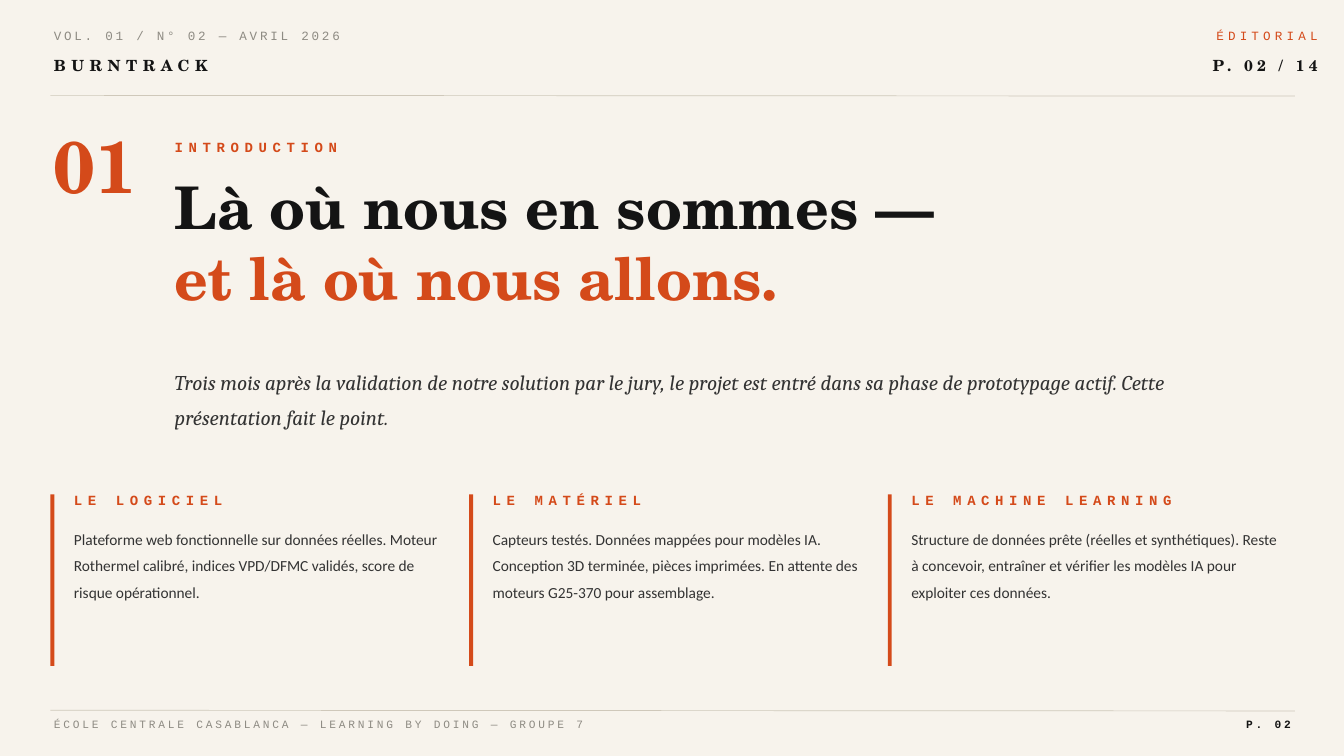
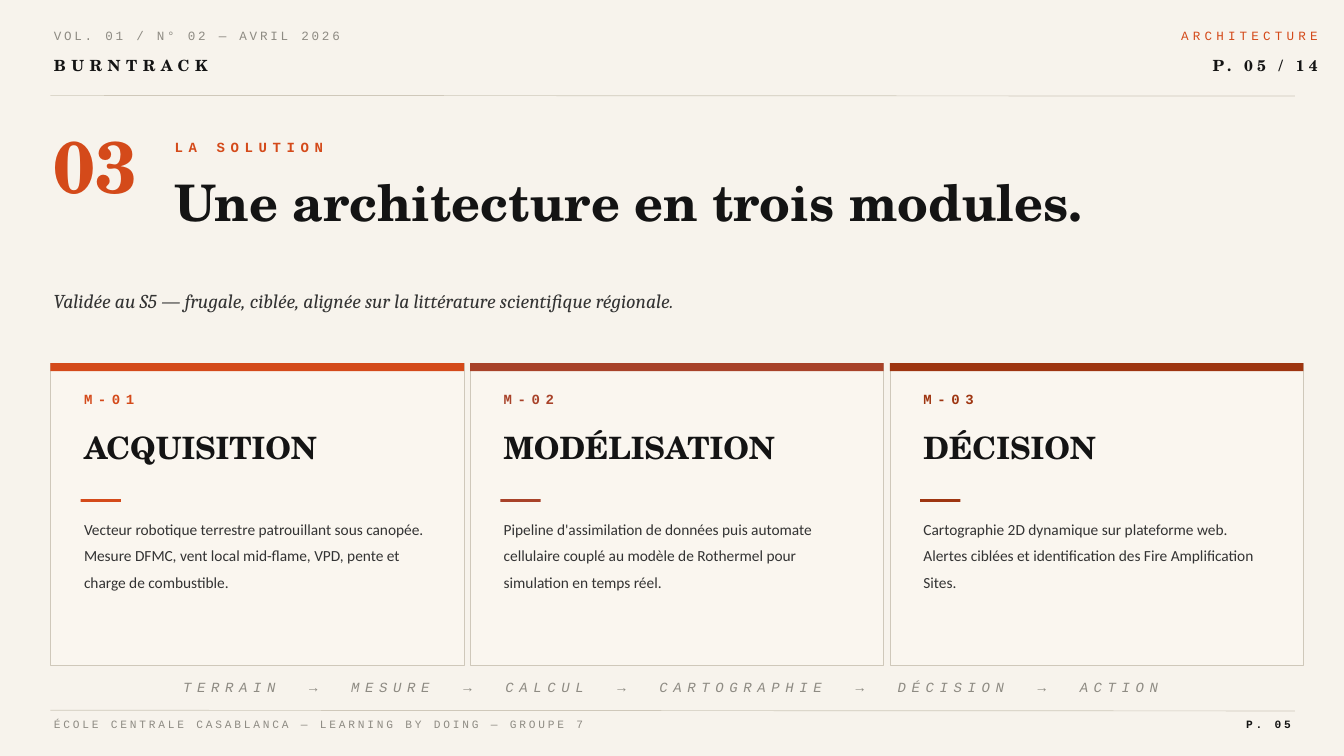
from pptx import Presentation
from pptx.dml.color import RGBColor
from pptx.enum.shapes import MSO_CONNECTOR, MSO_SHAPE
from pptx.enum.text import MSO_AUTO_SIZE, PP_ALIGN
from pptx.oxml.ns import qn
from pptx.util import Pt
from lxml import etree

LEFT, CENTER, RIGHT = PP_ALIGN.LEFT, PP_ALIGN.CENTER, PP_ALIGN.RIGHT
RECT = MSO_SHAPE.RECTANGLE
STRAIGHT = MSO_CONNECTOR.STRAIGHT
FIT = MSO_AUTO_SIZE.SHAPE_TO_FIT_TEXT

PAPER = RGBColor(0xF7, 0xF3, 0xEC)
CARD = RGBColor(0xFA, 0xF6, 0xEF)
RULE = RGBColor(0xCF, 0xC8, 0xBA)
INK = RGBColor(0x14, 0x14, 0x14)
BODY = RGBColor(0x33, 0x33, 0x33)
GREY = RGBColor(0x8E, 0x8B, 0x83)
ORANGE = RGBColor(0xD4, 0x4A, 0x1A)
BRICK = RGBColor(0xA8, 0x42, 0x29)
RUST = RGBColor(0x9E, 0x35, 0x10)

MONO, SERIF, ITALIC, SANS = "Courier New", "TeX Gyre Schola", "Cambria", "Calibri"
EDGE, MARGIN, INDENT = 54, 57.6, 187.2


def add_text(s, box, text, font, size, color, leading, bold=False,
             italic=False, spacing=0, align=LEFT):
    tf = s.shapes.add_textbox(*map(Pt, box)).text_frame
    tf.margin_left = tf.margin_right = tf.margin_top = tf.margin_bottom = 0
    tf.word_wrap = True
    tf.auto_size = FIT
    p = tf.paragraphs[0]
    p.alignment = align
    p.line_spacing = Pt(leading)
    p.font.name, p.font.size = font, Pt(size)
    p.font.bold, p.font.italic = bold, italic
    p.font.color.rgb = color
    if spacing:
        p.font._rPr.set("spc", str(int(spacing * 100)))
    if text:
        p.add_run().text = text
    return p


def add_rect(s, box, fill, line=None):
    sp = s.shapes.add_shape(RECT, *map(Pt, box))
    sp.shadow.inherit = False
    sp.fill.solid()
    sp.fill.fore_color.rgb = fill
    if line is None:
        sp.line.fill.background()
    else:
        sp.line.color.rgb = line
        sp.line.width = Pt(0.75)


prs = Presentation()
prs.slide_width, prs.slide_height = Pt(1440), Pt(810)
fill = prs.slide_master.background.fill
fill.solid()
fill.fore_color.rgb = PAPER

# Header, section title and footer of every slide
sections = [
    ("ÉDITORIAL", "02", "01", "INTRODUCTION"),
    ("ARCHITECTURE", "05", "03", "LA SOLUTION"),
]
for rubric, page, number, label in sections:
    s = prs.slides.add_slide(prs.slide_layouts[6])
    add_text(s, (MARGIN, 30.2, 425, 34.5), "VOL. 01 / N° 02 — AVRIL 2026",
             MONO, 13.5, GREY, 16.2, spacing=3)
    add_text(s, (MARGIN, 59.8, 425, 32.4), "BURNTRACK",
             SERIF, 16.5, INK, 19.8, bold=True, spacing=6)
    add_text(s, (1030.3, 30.2, 381.6, 34.5), rubric,
             MONO, 13.5, ORANGE, 16.2, spacing=4.5, align=RIGHT)
    add_text(s, (1030.3, 59.8, 381.6, 32.4), f"P. {page} / 14",
             SERIF, 16.5, INK, 19.8, bold=True, spacing=4.5, align=RIGHT)

    add_text(s, (MARGIN, 128.9, 144, 92.9), number,
             SERIF, 78.1, ORANGE, 93.7, bold=True)
    add_text(s, (INDENT, 148.3, 425, 30.2), label,
             MONO, 15, ORANGE, 18, bold=True, spacing=6)

    for y in (102.2, 761):
        rule = s.shapes.add_connector(STRAIGHT, Pt(EDGE), Pt(y), Pt(1387.5), Pt(y + 0.75))
        rule.line.color.rgb = RULE
        rule.line.width = Pt(0.75)
        etree.SubElement(rule._element.spPr, qn("a:effectLst"))
    add_text(s, (MARGIN, 768.2, 641.5, 29.5),
             "ÉCOLE CENTRALE CASABLANCA — LEARNING BY DOING — GROUPE 7",
             MONO, 12, GREY, 14.4, spacing=3)
    add_text(s, (814.3, 768.2, 568.8, 29.5), f"P. {page}",
             MONO, 12, INK, 14.4, bold=True, spacing=3, align=RIGHT)

intro, solution = prs.slides

# Introduction: two-line title and lead
for y, line, color in [(182.9, "Là où nous en sommes —", INK),
                       (258.5, "et là où nous allons.", ORANGE)]:
    add_text(intro, (INDENT, y, 1181.5, 108.7), line, SERIF, 63, color, 75.7, bold=True)
add_text(intro, (INDENT, 385.2, 1181.5, 85),
         "Trois mois après la validation de notre solution par le jury, le projet est entré "
         "dans sa phase de prototypage actif. Cette présentation fait le point.",
         ITALIC, 22.5, BODY, 37.8, italic=True)

# Introduction: three progress columns
columns = [
    ("LE LOGICIEL", "Plateforme web fonctionnelle sur données réelles. Moteur Rothermel "
     "calibré, indices VPD/DFMC validés, score de risque opérationnel."),
    ("LE MATÉRIEL", "Capteurs testés. Données mappées pour modèles IA. Conception 3D "
     "terminée, pièces imprimées. En attente des moteurs G25-370 pour assemblage."),
    ("LE MACHINE LEARNING", "Structure de données prête (réelles et synthétiques). Reste à "
     "concevoir, entraîner et vérifier les modèles IA pour exploiter ces données."),
]
for i, (heading, body) in enumerate(columns):
    x = EDGE + i * 448.6
    add_rect(intro, (x, 529.6, 4.3, 183.9), ORANGE)
    add_text(intro, (x + 25.2, 526.3, 403.2, 35.3), heading,
             MONO, 15, ORANGE, 18, bold=True, spacing=6)
    add_text(intro, (x + 25.2, 558.7, 403.2, 160.6), body, SANS, 16.5, BODY, 28.7)

# Solution: title and lead
add_text(solution, (INDENT, 182.9, 1181.5, 108.7), "Une architecture en trois modules.",
         SERIF, 54, INK, 64.8, bold=True)
add_text(solution, (MARGIN, 299.5, 1321.9, 62.6),
         "Validée au S5 — frugale, ciblée, alignée sur la littérature scientifique régionale.",
         ITALIC, 21, BODY, 35.3, italic=True)

# Solution: three module cards
modules = [
    (ORANGE, "ACQUISITION", "Vecteur robotique terrestre patrouillant sous canopée. "
     "Mesure DFMC, vent local mid-flame, VPD, pente et charge de combustible."),
    (BRICK, "MODÉLISATION", "Pipeline d'assimilation de données puis automate cellulaire "
     "couplé au modèle de Rothermel pour simulation en temps réel."),
    (RUST, "DÉCISION", "Cartographie 2D dynamique sur plateforme web. Alertes ciblées et "
     "identification des Fire Amplification Sites."),
]
for i, (accent, name, body) in enumerate(modules):
    x = EDGE + i * 449.7
    add_rect(solution, (x, 389, 443.2, 324.3), CARD, RULE)
    add_rect(solution, (x, 389, 443.2, 8.6), accent)
    add_text(solution, (x + 36, 418.3, 370.8, 35.3), f"M-{i + 1:02}",
             MONO, 15, accent, 18, bold=True, spacing=6)
    add_text(solution, (x + 36, 459.4, 370.8, 64.8), name, SERIF, 33, INK, 39.6, bold=True)
    add_rect(solution, (x + 32.4, 534.9, 43.2, 2.9), accent)
    add_text(solution, (x + 36, 547.9, 370.8, 149.8), body, SANS, 16.5, BODY, 28.7)

# Solution: processing chain, with wide gaps around the arrows
steps = "TERRAIN → MESURE → CALCUL → CARTOGRAPHIE → DÉCISION → ACTION"
p = add_text(solution, (MARGIN, 726.5, 1321.9, 35.3), "", MONO, 15, GREY, 18,
             italic=True, spacing=6, align=CENTER)
for i, word in enumerate(steps.split()):
    if i:
        r = p.add_run()
        r.text = " "
        r.font._rPr.set("spc", "2100")
    p.add_run().text = word

prs.save("out.pptx")
